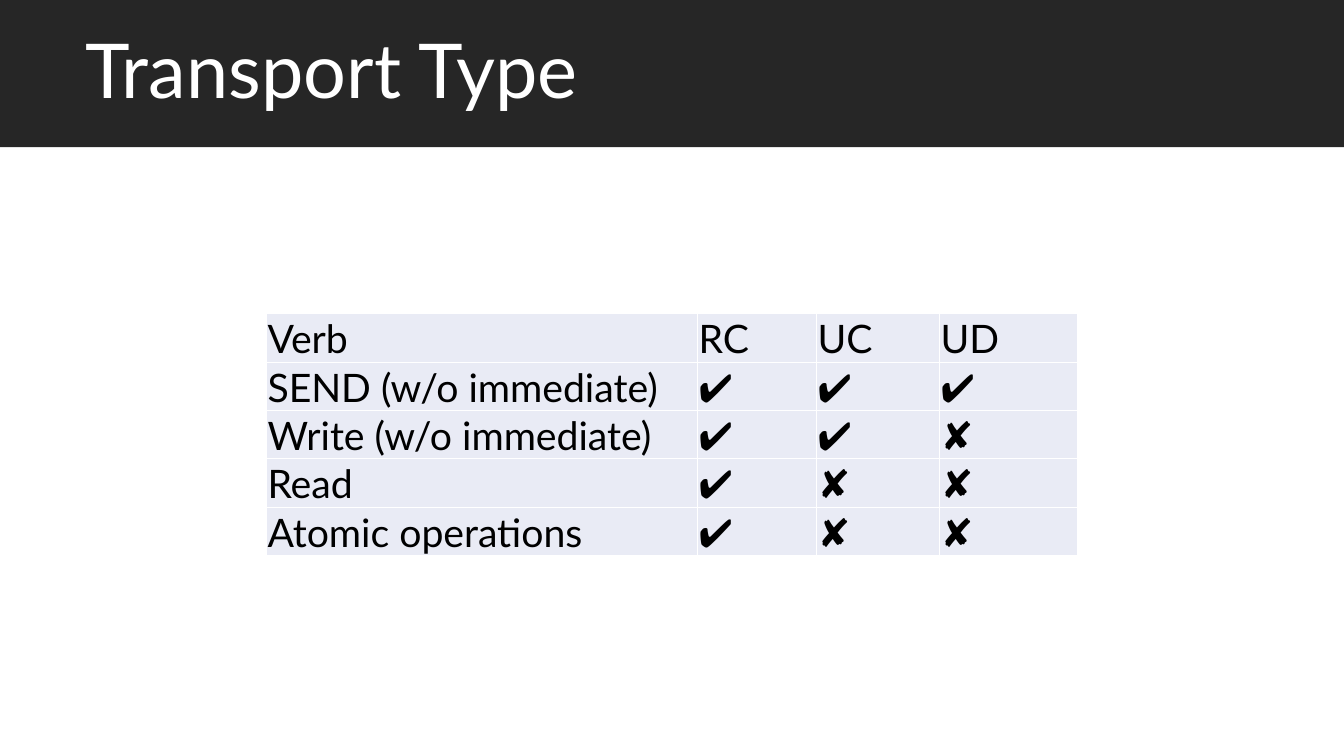
from lxml import etree
from pptx import Presentation
from pptx.dml.color import RGBColor
from pptx.enum.shapes import MSO_SHAPE
from pptx.enum.text import MSO_ANCHOR, PP_ALIGN
from pptx.oxml.ns import qn
from pptx.util import Inches, Pt

RECT = MSO_SHAPE.RECTANGLE
MIDDLE, BOTTOM = MSO_ANCHOR.MIDDLE, MSO_ANCHOR.BOTTOM
LEFT = PP_ALIGN.LEFT

DARK = RGBColor(0x26, 0x26, 0x26)
PALE = RGBColor(0xE9, 0xEB, 0xF5)
WHITE = RGBColor(0xFF, 0xFF, 0xFF)
BLACK = RGBColor(0, 0, 0)
YES, NO = "\u2714", "\u2718"


def assign(item, values):
    for name, value in values.items():
        setattr(item, name, value)


class Board:
    """Places elements on a grid of 100 columns by 100 rows."""

    font = "Lato"

    def __init__(self, deck):
        self.slide = deck.slides.add_slide(deck.slide_layouts[6])
        self.wide, self.high = deck.slide_width, deck.slide_height

    def col(self, share):
        return round(self.wide * share / 100)

    def row(self, share):
        return round(self.high * share / 100)

    def label(self, frame, text, size, color, spacing=1.0):
        par = frame.paragraphs[0]
        assign(par, {"alignment": LEFT, "line_spacing": spacing})
        run = par.add_run()
        run.text = text
        assign(run.font, {"name": self.font, "size": Pt(size)})
        run.font.color.rgb = color

    def banner(self, text, height, indent):
        bar = self.slide.shapes.add_shape(RECT, 0, 0, self.wide, self.row(height))
        bar.shadow.inherit = False
        bar.fill.solid()
        bar.fill.fore_color.rgb = DARK
        bar.line.fill.background()
        assign(bar.text_frame, {"margin_left": self.col(indent), "word_wrap": True,
                                "vertical_anchor": MIDDLE})
        self.label(bar.text_frame, text, 54, WHITE, 0.9)

    def border(self, cell):
        props = cell._tc.get_or_add_tcPr()
        for spot, side in enumerate(("a:lnL", "a:lnR", "a:lnT", "a:lnB")):
            line = etree.Element(qn(side), w=str(Pt(1)))
            fill = etree.SubElement(line, qn("a:solidFill"))
            etree.SubElement(fill, qn("a:srgbClr"), val=str(WHITE))
            props.insert(spot, line)

    def table(self, rows, left, top, widths, height):
        grid = self.slide.shapes.add_table(
            len(rows), len(widths), self.col(left), self.row(top),
            self.col(sum(widths)), self.row(height * len(rows))).table
        assign(grid, {"first_row": False, "horz_banding": False})
        for column, width in zip(grid.columns, widths):
            column.width = self.col(width)
        edge = Inches(0.01)
        form = {"margin_left": edge, "margin_right": edge, "margin_top": edge,
                "margin_bottom": 0, "vertical_anchor": BOTTOM}
        for line, texts in zip(grid.rows, rows):
            line.height = self.row(height)
            for cell, text in zip(line.cells, texts):
                assign(cell, form)
                cell.fill.solid()
                cell.fill.fore_color.rgb = PALE
                self.border(cell)
                self.label(cell.text_frame, text, 28, BLACK)


deck = Presentation()
assign(deck, {"slide_width": Inches(13.33), "slide_height": Inches(7.5)})
board = Board(deck)

# Title bar
board.banner("Transport Type", height=19.47, indent=6.38)

# Verbs supported by each transport
verbs = [
    ("Verb", "RC", "UC", "UD"),
    ("SEND (w/o immediate)", YES, YES, YES),
    ("Write (w/o immediate)", YES, YES, NO),
    ("Read", YES, NO, NO),
    ("Atomic operations", YES, NO, NO),
]
board.table(verbs, left=19.83, top=41.5, widths=(32.08, 8.86, 9.15, 10.28), height=6.4)

deck.save("out.pptx")
